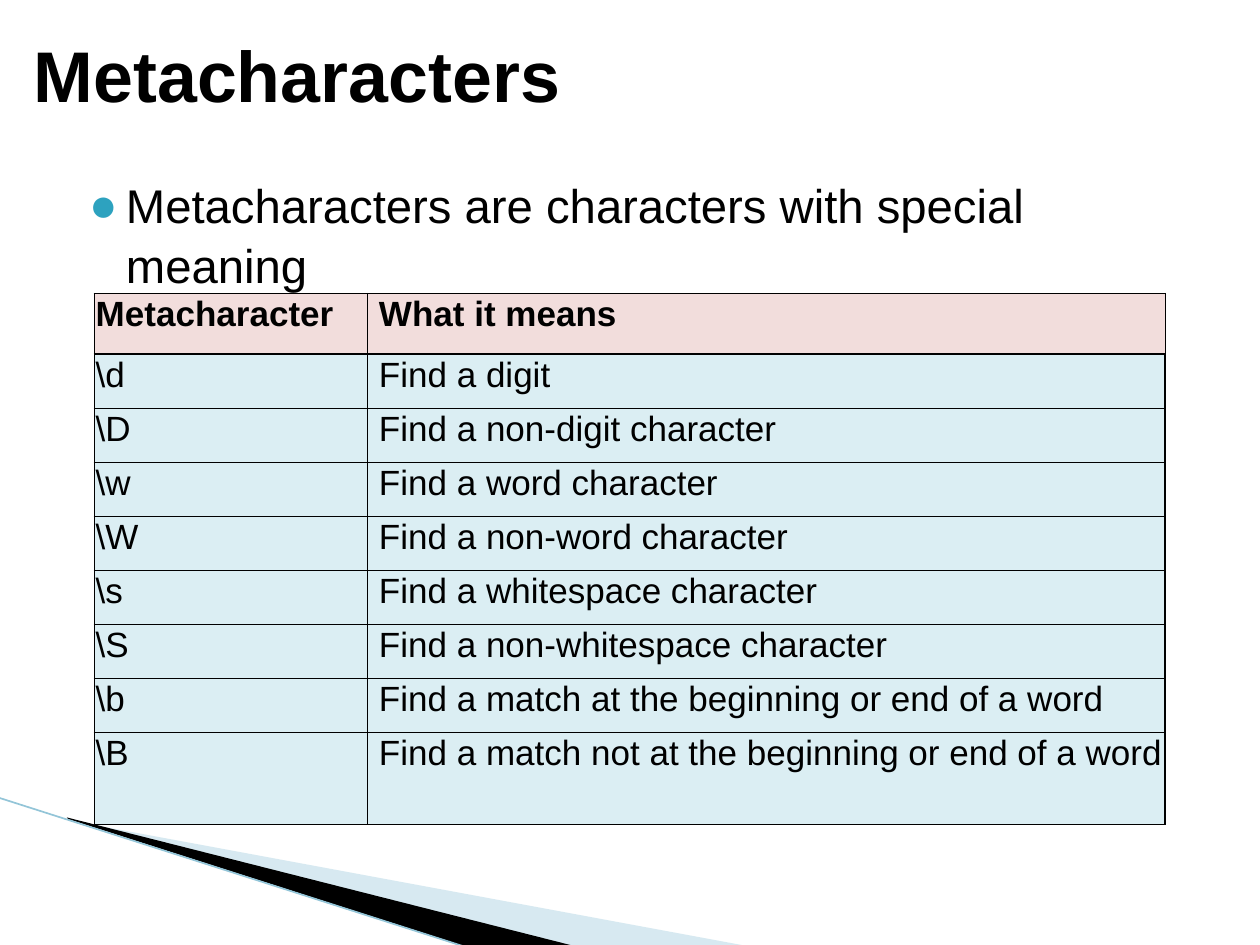
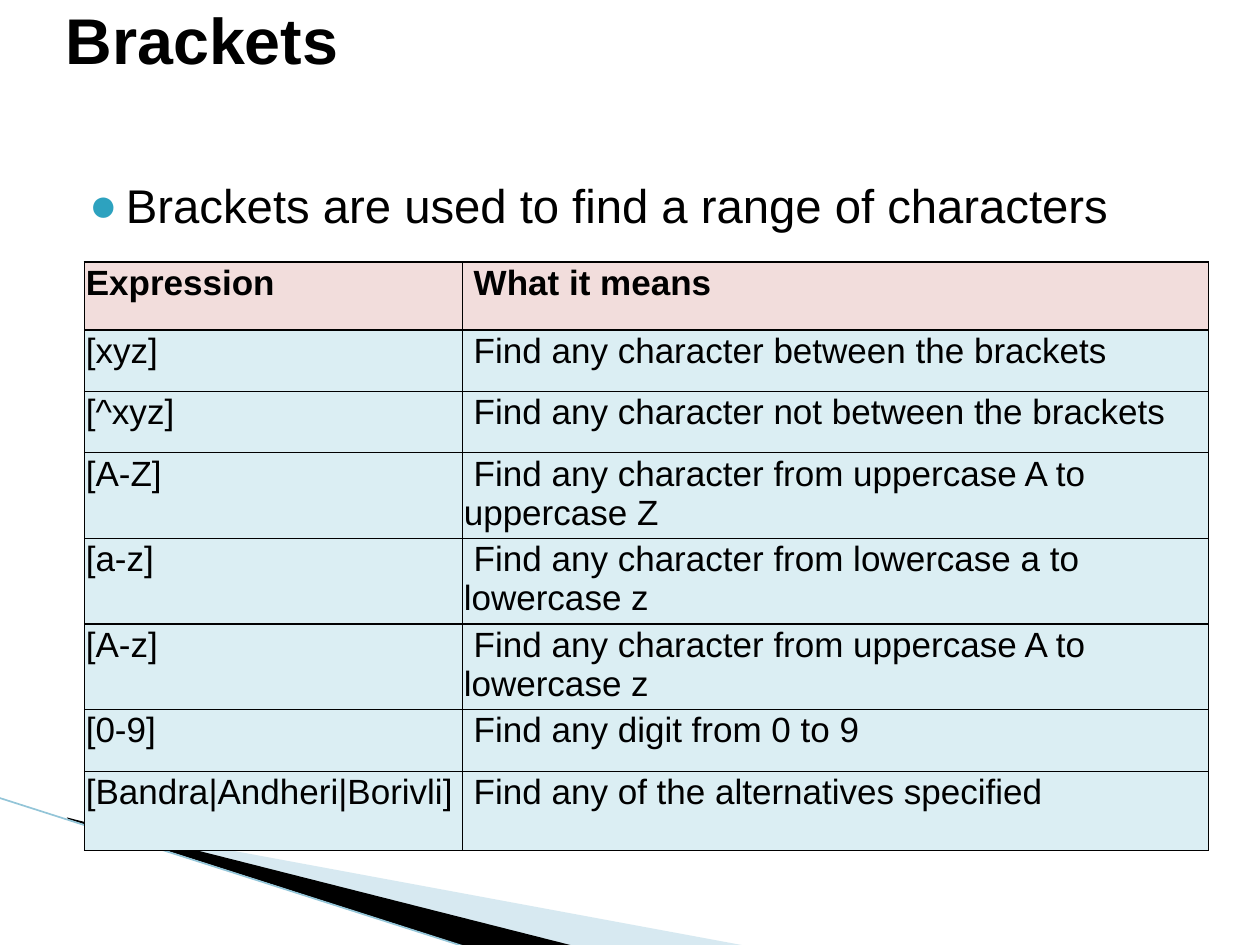
from collections import namedtuple
from dataclasses import dataclass

from lxml.etree import SubElement
from pptx import Presentation
from pptx.dml.color import RGBColor as Rgb
from pptx.enum.shapes import MSO_CONNECTOR as Connector
from pptx.enum.text import MSO_ANCHOR as Anchor
from pptx.oxml.ns import qn
from pptx.util import Cm, Pt

Box = namedtuple("Box", "left top width height")


@dataclass(frozen=True)
class Theme:
    font: str = "Arial"
    ink: str = "000000"
    bullet: str = "2DA2BF"
    fold_pale: str = "9CCADC"
    fold_edge: str = "93C5D8"
    header_fill: str = "F2DDDC"
    body_fill: str = "DBEEF3"
    lead_size: float = 27
    table_size: float = 20
    thin: float = 0.75
    thick: float = 1


THEME = Theme()
SLIDE = Box(0, 0, 25.4, 19.05)
LEAD_BOX = Box(1.27, 3.38, 22.86, 14.6)
FOLD_BOX = Box(0, 16, 15.11, 3.05)
CELL_MARGINS = {"margin_left": Cm(0.03), "margin_top": Cm(0.03),
                "margin_right": Cm(0.03), "margin_bottom": 0}

TOPICS = [
    {
        "title": "Metacharacters",
        "title_size": 41,
        "title_box": Box(0.43, 0.43, 22.86, 2.11),
        "lead": "Metacharacters are characters with special meaning",
        "table_at": (1.9, 5.92),
        "columns": (5.51, 16.08),
        "row_heights": (1.22, 1.09, 1.85),
        "rows": [
            ("Metacharacter", "What it means"),
            (r"\d", "Find a digit"),
            (r"\D", "Find a non-digit character"),
            (r"\w", "Find a word character"),
            (r"\W", "Find a non-word character"),
            (r"\s", "Find a whitespace character"),
            (r"\S", "Find a non-whitespace character"),
            (r"\b", "Find a match at the beginning or end of a word"),
            (r"\B", "Find a match not at the beginning or end of a word"),
        ],
    },
    {
        "title": "Brackets",
        "title_size": 36.9,
        "title_box": Box(1.07, 0, 22.86, 1.55),
        "lead": "Brackets are used to find a range of characters",
        "table_at": (1.7, 5.28),
        "columns": (7.62, 15.04),
        "row_heights": (1.37, 1.24, 1.6),
        "rows": [
            ("Expression", "What it means"),
            ("[xyz]", "Find any character between the brackets"),
            ("[^xyz]", "Find any character not between the brackets"),
            ("[A-Z]", "Find any character from uppercase A to uppercase Z"),
            ("[a-z]", "Find any character from lowercase a to lowercase z"),
            ("[A-z]", "Find any character from uppercase A to lowercase z"),
            ("[0-9]", "Find any digit from 0 to 9"),
            ("[Bandra|Andheri|Borivli]", "Find any of the alternatives specified"),
        ],
    },
]


def apply(target, values):
    for name, value in values.items():
        setattr(target, name, value)


def write(paragraph, text, size, bold=False):
    run = paragraph.add_run()
    run.text = text
    apply(run.font, {"name": THEME.font, "size": Pt(size), "bold": bold})
    run.font.color.rgb = Rgb.from_string(THEME.ink)


def add_text_frame(slide, box, anchor):
    frame = slide.shapes.add_textbox(*map(Cm, box)).text_frame
    apply(frame, {"word_wrap": True, "vertical_anchor": anchor})
    return frame


def add_title(slide, box, text, size):
    frame = add_text_frame(slide, box, Anchor.MIDDLE)
    write(frame.paragraphs[0], text, size, bold=True)


def add_lead(slide, box, text):
    paragraph = add_text_frame(slide, box, Anchor.TOP).paragraphs[0]
    apply(paragraph, {"line_spacing": 1.05, "space_before": Pt(1.5)})
    write(paragraph, text, THEME.lead_size)
    props = paragraph._p.get_or_add_pPr()
    props.set("marL", str(Cm(1.02)))
    props.set("indent", str(Cm(-0.74)))
    colour = SubElement(props, qn("a:buClr"))
    SubElement(colour, qn("a:srgbClr"), val=THEME.bullet)
    SubElement(props, qn("a:buFont"), typeface=THEME.font)
    SubElement(props, qn("a:buChar"), char="●")


def add_fold(slide, box):
    """Draw the folded corner: pale sheet, dark underside, thin edge."""
    def place(x, y):
        return Cm(box.left + x), Cm(box.top + y)

    def add_wedge(points, colour):
        start, *others = [place(*point) for point in points]
        builder = slide.shapes.build_freeform(*start)
        builder.add_line_segments(others, close=True)
        wedge = builder.convert_to_shape()
        wedge.shadow.inherit = False
        wedge.fill.solid()
        wedge.fill.fore_color.rgb = Rgb.from_string(colour)
        wedge.line.fill.background()
        return wedge

    pale = add_wedge([(1.4, 0.54), (15.11, 3.08), (11.58, 3.08), (1.4, 0.51)],
                     THEME.fold_pale)
    tint = pale._element.spPr.find(qn("a:solidFill")).find(qn("a:srgbClr"))
    SubElement(tint, qn("a:alpha"), val="40000")
    add_wedge([(1.35, 0.48), (11.61, 3.08), (9.45, 3.1), (1.37, 0.51)], THEME.ink)

    edge = slide.shapes.add_connector(
        Connector.STRAIGHT, *place(-0.03, 0.08), *place(9.42, 3.1))
    edge.line.color.rgb = Rgb.from_string(THEME.fold_edge)
    edge.line.width = Pt(0.95)
    SubElement(edge._element.spPr, qn("a:effectLst"))


def set_borders(cell, widths):
    props = cell._tc.get_or_add_tcPr()
    for side, width in widths.items():
        border = SubElement(props, qn(f"a:ln{side}"), w=str(Pt(width)))
        fill = SubElement(border, qn("a:solidFill"))
        SubElement(fill, qn("a:srgbClr"), val=THEME.ink)


def fill_cell(cell, text, is_header, is_meaning):
    apply(cell, CELL_MARGINS)
    edge = THEME.thick if is_header else THEME.thin
    right = THEME.thick if is_header != is_meaning else THEME.thin
    set_borders(cell, {"L": edge, "R": right, "T": edge, "B": edge})
    cell.fill.solid()
    cell.fill.fore_color.rgb = Rgb.from_string(
        THEME.header_fill if is_header else THEME.body_fill)
    paragraph = cell.text_frame.paragraphs[0]
    write(paragraph, text, THEME.table_size, bold=is_header)
    if is_meaning:
        paragraph._p.get_or_add_pPr().set("indent", str(Cm(0.2)))


def add_reference_table(slide, at, columns, row_heights, rows):
    """row_heights holds the header, the middle rows and the last row."""
    header, middle, last = row_heights
    heights = [header, *[middle] * (len(rows) - 2), last]
    box = Box(*at, sum(columns), sum(heights))
    table = slide.shapes.add_table(
        len(rows), len(columns), *map(Cm, box)).table
    for column, width in zip(table.columns, columns):
        column.width = Cm(width)
    for r, (height, texts) in enumerate(zip(heights, rows)):
        table.rows[r].height = Cm(height)
        for c, text in enumerate(texts):
            fill_cell(table.cell(r, c), text, r == 0, c == 1)


def add_topic_slide(deck, topic):
    slide = deck.slides.add_slide(deck.slide_layouts[6])
    add_fold(slide, FOLD_BOX)
    add_lead(slide, LEAD_BOX, topic["lead"])
    add_title(slide, topic["title_box"], topic["title"], topic["title_size"])
    add_reference_table(slide, topic["table_at"], topic["columns"],
                        topic["row_heights"], topic["rows"])


def main():
    deck = Presentation()
    apply(deck, {"slide_width": Cm(SLIDE.width), "slide_height": Cm(SLIDE.height)})
    for topic in TOPICS:
        add_topic_slide(deck, topic)
    deck.save("out.pptx")


if __name__ == "__main__":
    main()
